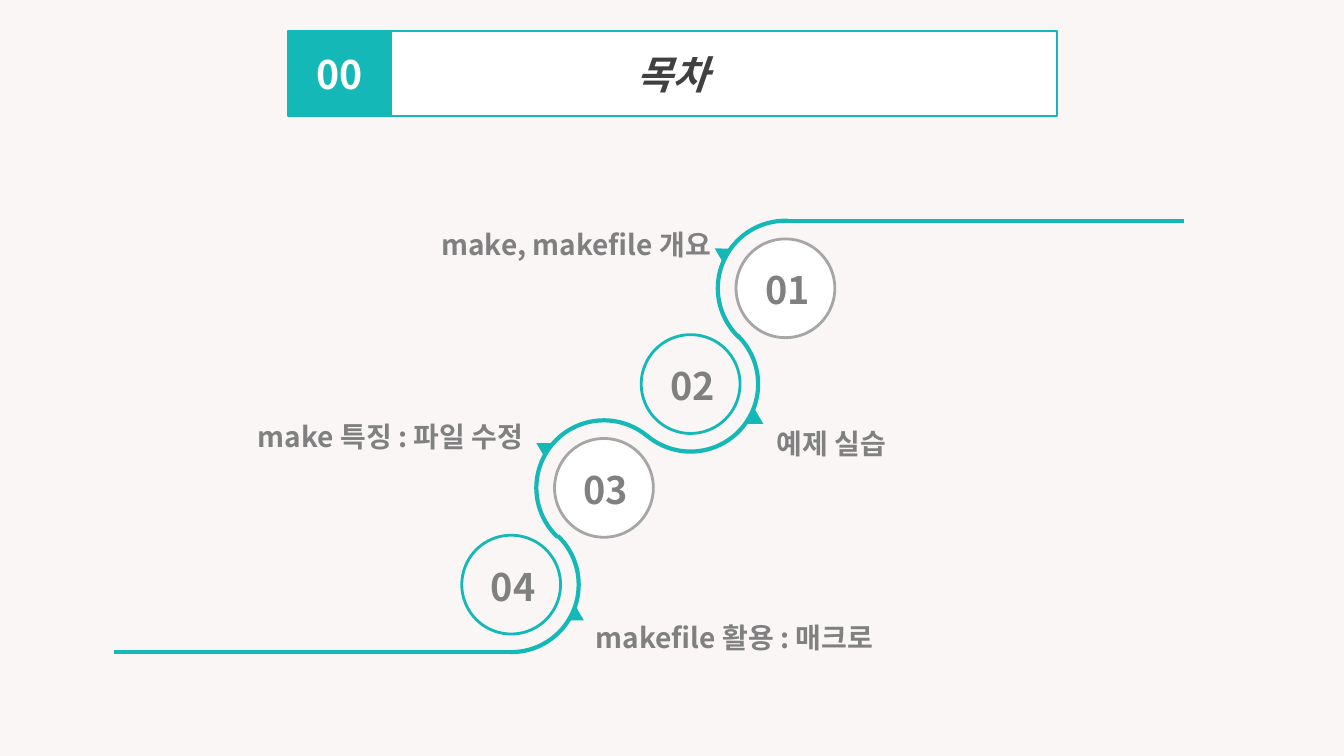
"""Build the table of contents slide with four steps along a winding line."""
from lxml import etree
from pptx import Presentation
from pptx.dml.color import RGBColor
from pptx.enum.shapes import MSO_CONNECTOR, MSO_SHAPE
from pptx.enum.text import MSO_ANCHOR, MSO_AUTO_SIZE, PP_ALIGN
from pptx.oxml.ns import qn
from pptx.util import Inches, Pt

RECT, OVAL, ARC = MSO_SHAPE.RECTANGLE, MSO_SHAPE.OVAL, MSO_SHAPE.ARC
TRIANGLE = MSO_SHAPE.ISOSCELES_TRIANGLE
STRAIGHT = MSO_CONNECTOR.STRAIGHT
LEFT, CENTER = PP_ALIGN.LEFT, PP_ALIGN.CENTER
TOP, MIDDLE = MSO_ANCHOR.TOP, MSO_ANCHOR.MIDDLE
NO_FIT = MSO_AUTO_SIZE.NONE

FONT = "Noto Sans CJK KR"
COLORS = {"back": "F9F6F5", "teal": "14B9B7", "white": "FFFFFF",
          "dark": "404040", "gray": "808080", "ring": "A6A6A6"}
TITLE, SECTION = "목차", "00"
STEPS = [
    {"label": "make, makefile 개요", "circle": (7.3, 2.37), "arc": (133.08, 272.33),
     "text": (3.16, 2.04), "marker": (7.07, 2.43)},
    {"label": "예제 실습", "circle": (6.36, 3.32), "arc": (313.97, 130.77),
     "text": (5.69, 4.02), "marker": (7.43, 4.1)},
    {"label": "make 특징 : 파일 수정", "circle": (5.5, 4.35), "arc": (133.08, 309.64),
     "text": (1.32, 3.95), "marker": (5.3, 4.36)},
    {"label": "makefile 활용 : 매크로", "circle": (4.58, 5.31), "arc": (313.97, 91.13),
     "text": (4.73, 5.94), "marker": (5.65, 6.05)},
]
RAILS = [(7.8, 11.74, 2.19), (1.13, 5.07, 6.47)]
CIRCLE, ARC_SIZE = 0.98, 1.34
ARC_GAP = (ARC_SIZE - CIRCLE) / 2


def rgb(name):
    """Return the named colour."""
    return RGBColor.from_string(COLORS[name])


def write(s, text, size=20, color="gray", align=LEFT, anchor=TOP,
          italic=False, spacing=None):
    """Write one formatted line of text into a shape."""
    tf = s.text_frame
    tf.word_wrap = True
    tf.auto_size = NO_FIT
    tf.vertical_anchor = anchor
    p = tf.paragraphs[0]
    p.alignment = align
    p.line_spacing = spacing
    r = p.add_run()
    r.text = text
    r.font.name = FONT
    r.font.size = Pt(size)
    r.font.bold = True
    r.font.italic = italic
    r.font.color.rgb = rgb(color)
    etree.SubElement(r.font._element, qn("a:ea"), typeface=FONT)


def paint(s, fill=None, line=None, width=1):
    """Set the fill and outline of a shape."""
    if fill:
        s.fill.solid()
        s.fill.fore_color.rgb = rgb(fill)
    else:
        s.fill.background()
    if line:
        s.line.color.rgb = rgb(line)
        s.line.width = Pt(width)
    else:
        s.line.fill.background()


def add_shape(slide, kind, x, y, w, h, **style):
    """Add a painted preset shape without a shadow."""
    s = slide.shapes.add_shape(kind, *map(Inches, (x, y, w, h)))
    s.shadow.inherit = False
    paint(s, **style)
    return s


def add_text(slide, text, x, y, w, h, **style):
    """Add a text box."""
    write(slide.shapes.add_textbox(*map(Inches, (x, y, w, h))), text, **style)


def add_header(slide):
    """Place the title bar and its section number."""
    title = slide.shapes.title
    title.left, title.top, title.width, title.height = map(
        Inches, (2.86, 0.31, 7.62, 0.84))
    paint(title, fill="white", line="teal", width=1.5)
    write(title, TITLE, size=28, color="dark", align=CENTER, anchor=MIDDLE,
          italic=True)
    badge = add_shape(slide, RECT, 2.86, 0.31, 1.02, 0.84, fill="teal", line="teal")
    write(badge, SECTION, size=28, color="white", align=CENTER, anchor=MIDDLE)


def add_rail(slide, x1, x2, y):
    """Draw a straight end of the winding line."""
    c = slide.shapes.add_connector(STRAIGHT, *map(Inches, (x1, y, x2, y)))
    c.line.color.rgb = rgb("teal")
    c.line.width = Pt(3)
    etree.SubElement(c._element.spPr, qn("a:effectLst"))


def add_step(slide, number, step):
    """Draw one numbered circle with its arc, marker and label."""
    x, y = step["circle"]
    odd = number % 2 == 1
    arc = add_shape(slide, ARC, x - ARC_GAP, y - ARC_GAP, ARC_SIZE, ARC_SIZE,
                    line="teal", width=3)
    for i, degrees in enumerate(step["arc"]):
        arc.adjustments[i] = degrees * 0.6
    add_shape(slide, OVAL, x, y, CIRCLE, CIRCLE, fill="white" if odd else None,
              line="ring" if odd else "teal", width=2)
    marker = add_shape(slide, TRIANGLE, *step["marker"], 0.16, 0.14, fill="teal")
    marker.rotation = 300 if odd else 120
    add_text(slide, f"{number:02}", x + 0.19, y + 0.23, 0.68, 0.55, size=27)
    add_text(slide, step["label"], *step["text"], 5.11, 0.6, align=CENTER,
             spacing=1.5)


def main():
    """Build and save the slide."""
    prs = Presentation()
    prs.slide_width, prs.slide_height = Inches(13.33), Inches(7.5)
    slide = prs.slides.add_slide(prs.slide_layouts[5])
    slide.background.fill.solid()
    slide.background.fill.fore_color.rgb = rgb("back")
    add_header(slide)
    for rail in RAILS:
        add_rail(slide, *rail)
    for number, step in enumerate(STEPS, 1):
        add_step(slide, number, step)
    prs.save("out.pptx")


if __name__ == "__main__":
    main()
